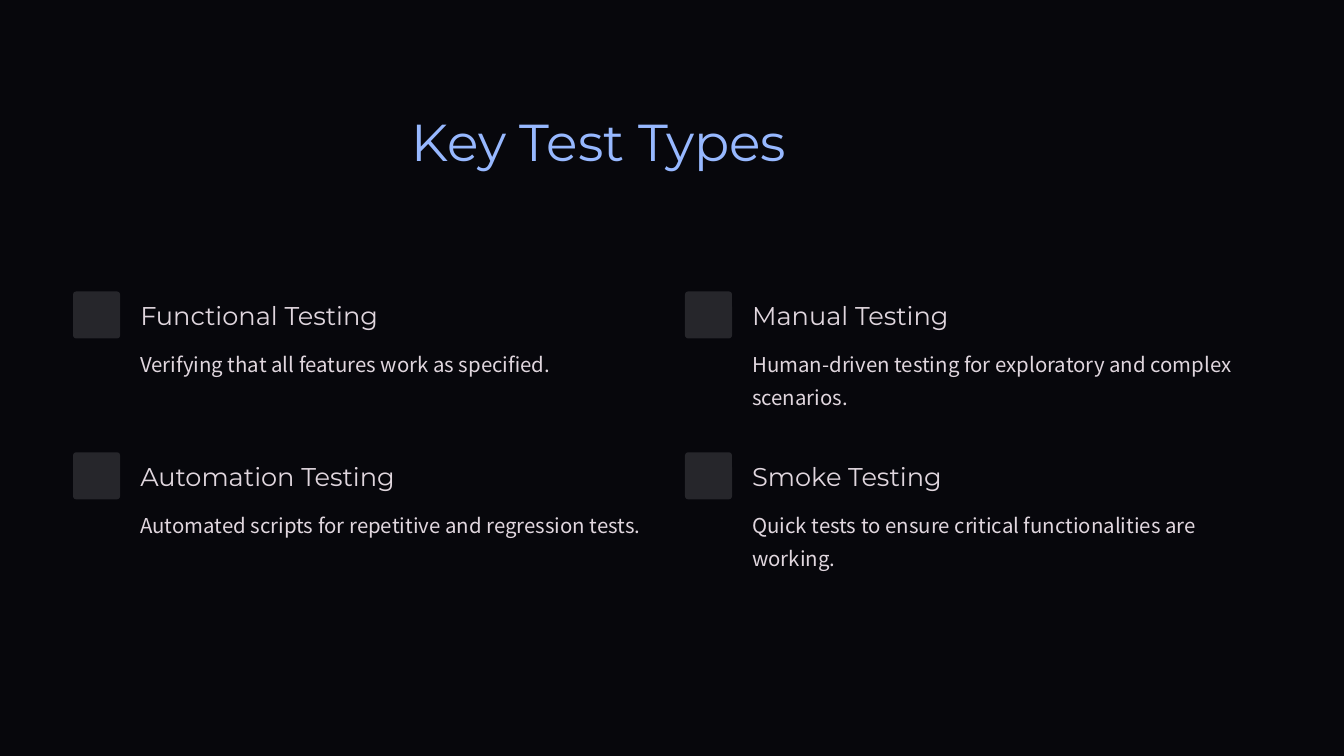
from dataclasses import dataclass

from pptx import Presentation
from pptx.dml.color import RGBColor
from pptx.enum.shapes import MSO_SHAPE
from pptx.enum.text import MSO_ANCHOR, MSO_AUTO_SIZE, PP_ALIGN
from pptx.util import Inches, Pt

ROUNDED = MSO_SHAPE.ROUNDED_RECTANGLE
TOP = MSO_ANCHOR.TOP
LEFT = PP_ALIGN.LEFT
NO_FIT = MSO_AUTO_SIZE.NONE

TITLE = "Key Test Types"
TEST_TYPES = [
    ("Functional Testing", "Verifying that all features work as specified."),
    ("Manual Testing", "Human-driven testing for exploratory and complex scenarios."),
    ("Automation Testing", "Automated scripts for repetitive and regression tests."),
    ("Smoke Testing", "Quick tests to ensure critical functionalities are working."),
]


@dataclass(frozen=True)
class Theme:
    background: RGBColor = RGBColor.from_string("07070C")
    tile: RGBColor = RGBColor.from_string("26262B")
    accent: RGBColor = RGBColor.from_string("97B8FF")
    text: RGBColor = RGBColor.from_string("E0D6DE")
    heading_font: str = "Montserrat"
    body_font: str = "Noto Sans CJK TC"
    title_size: float = 44.5
    heading_size: float = 22
    body_size: float = 17.5


THEME = Theme()
TEXT_STYLES = {
    "title": (THEME.heading_font, THEME.title_size, THEME.accent, 55.5),
    "heading": (THEME.heading_font, THEME.heading_size, THEME.text, 27.5),
    "body": (THEME.body_font, THEME.body_size, THEME.text, 28.5),
}
FRAME_FORMAT = {
    "margin_left": 0,
    "margin_top": 0,
    "margin_right": 0,
    "margin_bottom": 0,
    "word_wrap": True,
    "auto_size": NO_FIT,
    "vertical_anchor": TOP,
}

COLUMNS = 2
GRID_LEFT, GRID_TOP = 0.87, 3.47
COLUMN_STEP, ROW_STEP = 7.285, 1.915
TILE_SIZE = 0.56
TEXT_OFFSET = 0.8
TEXT_WIDTH = 6.17
HEADING_OFFSET, HEADING_HEIGHT = 0.09, 0.39
BODY_OFFSET, BODY_HEIGHT = 0.62, 0.79


def write_text(box, text, style):
    name, size, color, spacing = TEXT_STYLES[style]
    frame = box.text_frame
    for attribute, value in FRAME_FORMAT.items():
        setattr(frame, attribute, value)
    para = frame.paragraphs[0]
    para.alignment = LEFT
    para.line_spacing = Pt(spacing)
    span = para.add_run()
    span.text = text
    for attribute, value in {"name": name, "size": Pt(size)}.items():
        setattr(span.font, attribute, value)
    span.font.color.rgb = color


def add_title(page):
    title = page.shapes.title
    place = {"left": 4.9, "top": 1.27, "width": 6.2, "height": 0.78}
    for attribute, value in place.items():
        setattr(title, attribute, Inches(value))
    write_text(title, TITLE, "title")


def add_text(page, left, top, height, text, style):
    place = [Inches(value) for value in (left, top, TEXT_WIDTH, height)]
    write_text(page.shapes.add_textbox(*place), text, style)


def add_tile(page, left, top):
    place = [Inches(value) for value in (left, top, TILE_SIZE, TILE_SIZE)]
    tile = page.shapes.add_shape(ROUNDED, *place)
    tile.adjustments[0] = 0.067
    tile.shadow.inherit = False
    tile.fill.solid()
    tile.fill.fore_color.rgb = THEME.tile
    tile.line.fill.background()


def add_test_type(page, index, heading, body):
    row, column = divmod(index, COLUMNS)
    left = GRID_LEFT + column * COLUMN_STEP
    top = GRID_TOP + row * ROW_STEP
    text_left = left + TEXT_OFFSET
    add_tile(page, left, top)
    add_text(page, text_left, top + HEADING_OFFSET, HEADING_HEIGHT, heading, "heading")
    add_text(page, text_left, top + BODY_OFFSET, BODY_HEIGHT, body, "body")


def main():
    deck = Presentation()
    deck.slide_width, deck.slide_height = Inches(16), Inches(9)
    page = deck.slides.add_slide(deck.slide_layouts.get_by_name("Title Only"))
    page.background.fill.solid()
    page.background.fill.fore_color.rgb = THEME.background
    add_title(page)
    for index, (heading, body) in enumerate(TEST_TYPES):
        add_test_type(page, index, heading, body)
    deck.save("out.pptx")


if __name__ == "__main__":
    main()
